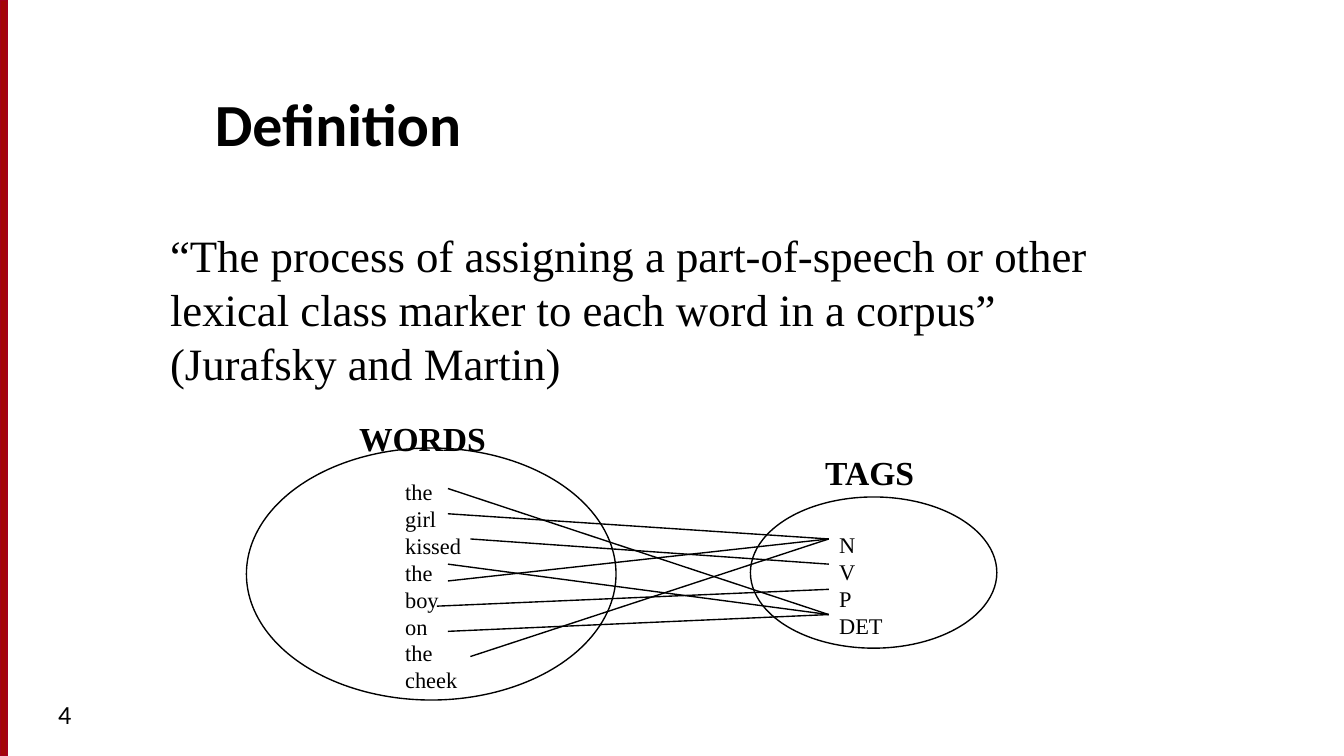
"""Build the definition slide with its map from words to tags."""
from dataclasses import dataclass

from lxml import etree
from pptx import Presentation
from pptx import util as u
from pptx.dml.color import RGBColor
from pptx.enum import shapes, text
from pptx.oxml.ns import qn
from pptx.slide import Slide

PX = 9525
WIDTH, HEIGHT = 960, 540
COLORS = {"ink": "000000", "bar": "A40508", "bar_line": "A4001D"}
SERIF, SANS = "Times New Roman", "Calibri"
QUOTE = ("“The process of assigning a part-of-speech or other lexical class "
         "marker to each word in a corpus” (Jurafsky and Martin)")


@dataclass(frozen=True)
class Area:
    left: int
    top: int
    width: int
    height: int

    def emu(self) -> list[int]:
        return [n * PX for n in (self.left, self.top, self.width, self.height)]


@dataclass(frozen=True)
class WordSet:
    label: str
    label_area: Area
    oval: Area
    items: list[str]
    items_area: Area


@dataclass(frozen=True)
class Link:
    x: int
    y: int
    tag: str


TAGS = ["N", "V", "P", "DET"]
TAG_X, TAG_TOP, TAG_STEP = 592, 385, 18
SETS = [
    WordSet("WORDS", Area(247, 294, 112, 38), Area(176, 320, 264, 180),
            ["the", "girl", "kissed", "the", "boy", "on", "the", "cheek"],
            Area(280, 337, 61, 165)),
    WordSet("TAGS", Area(580, 318, 84, 38), Area(536, 355, 176, 108),
            TAGS, Area(590, 375, 52, 87)),
]
LINKS = [
    Link(320, 349, "DET"), Link(320, 367, "N"), Link(336, 385, "V"),
    Link(320, 403, "DET"), Link(312, 433, "P"), Link(320, 415, "N"),
    Link(320, 451, "DET"), Link(336, 469, "N"),
]


def rgb(name: str) -> RGBColor:
    return RGBColor.from_string(COLORS[name])


def add_text(page: Slide, area: Area, lines: list[str], *, size: int,
             font: str = SERIF, bold: bool = False, wrap: bool = True,
             pitch: float | None = 1.2,
             anchor: text.MSO_ANCHOR = text.MSO_ANCHOR.TOP) -> None:
    frame = page.shapes.add_textbox(*area.emu()).text_frame
    frame.word_wrap = wrap
    frame.vertical_anchor = anchor
    for index, line in enumerate(lines):
        para = frame.add_paragraph() if index else frame.paragraphs[0]
        if pitch:
            para.line_spacing = u.Pt(size * pitch)
        span = para.add_run()
        span.text = line
        span.font.name = font
        span.font.size = u.Pt(size)
        span.font.bold = bold
        span.font.color.rgb = rgb("ink")


def add_figure(page: Slide, kind: shapes.MSO_SHAPE, area: Area,
               line: str, fill: str | None = None) -> None:
    figure = page.shapes.add_shape(kind, *area.emu())
    figure.shadow.inherit = False
    if fill:
        figure.fill.solid()
        figure.fill.fore_color.rgb = rgb(fill)
    else:
        figure.fill.background()
    figure.line.color.rgb = rgb(line)
    figure.line.width = u.Pt(0.75)


def add_set(page: Slide, group: WordSet) -> None:
    add_text(page, group.items_area, group.items, size=12, wrap=False)
    add_figure(page, shapes.MSO_SHAPE.OVAL, group.oval, "ink")
    add_text(page, group.label_area, [group.label], size=18, bold=True, wrap=False)


def add_link(page: Slide, link: Link) -> None:
    end_y = TAG_TOP + TAGS.index(link.tag) * TAG_STEP
    line = page.shapes.add_connector(
        shapes.MSO_CONNECTOR.STRAIGHT,
        link.x * PX, link.y * PX, TAG_X * PX, end_y * PX)
    line.line.color.rgb = rgb("ink")
    line.line.width = u.Pt(0.75)
    etree.SubElement(line._element.spPr, qn("a:effectLst"))


def main() -> None:
    deck = Presentation()
    deck.slide_width, deck.slide_height = WIDTH * PX, HEIGHT * PX
    page = deck.slides.add_slide(deck.slide_layouts[6])
    add_figure(page, shapes.MSO_SHAPE.RECTANGLE, Area(0, 0, 5, HEIGHT),
               "bar_line", "bar")
    add_text(page, Area(144, 40, 784, 78), ["Definition"], size=32, font=SANS,
             bold=True, pitch=None, anchor=text.MSO_ANCHOR.BOTTOM)
    add_text(page, Area(32, 494, 208, 36), ["4"], size=14, font=SANS, pitch=None)
    add_text(page, Area(112, 158, 704, 126), [QUOTE], size=24)
    for group in SETS:
        add_set(page, group)
    for link in LINKS:
        add_link(page, link)
    deck.save("out.pptx")


if __name__ == "__main__":
    main()
